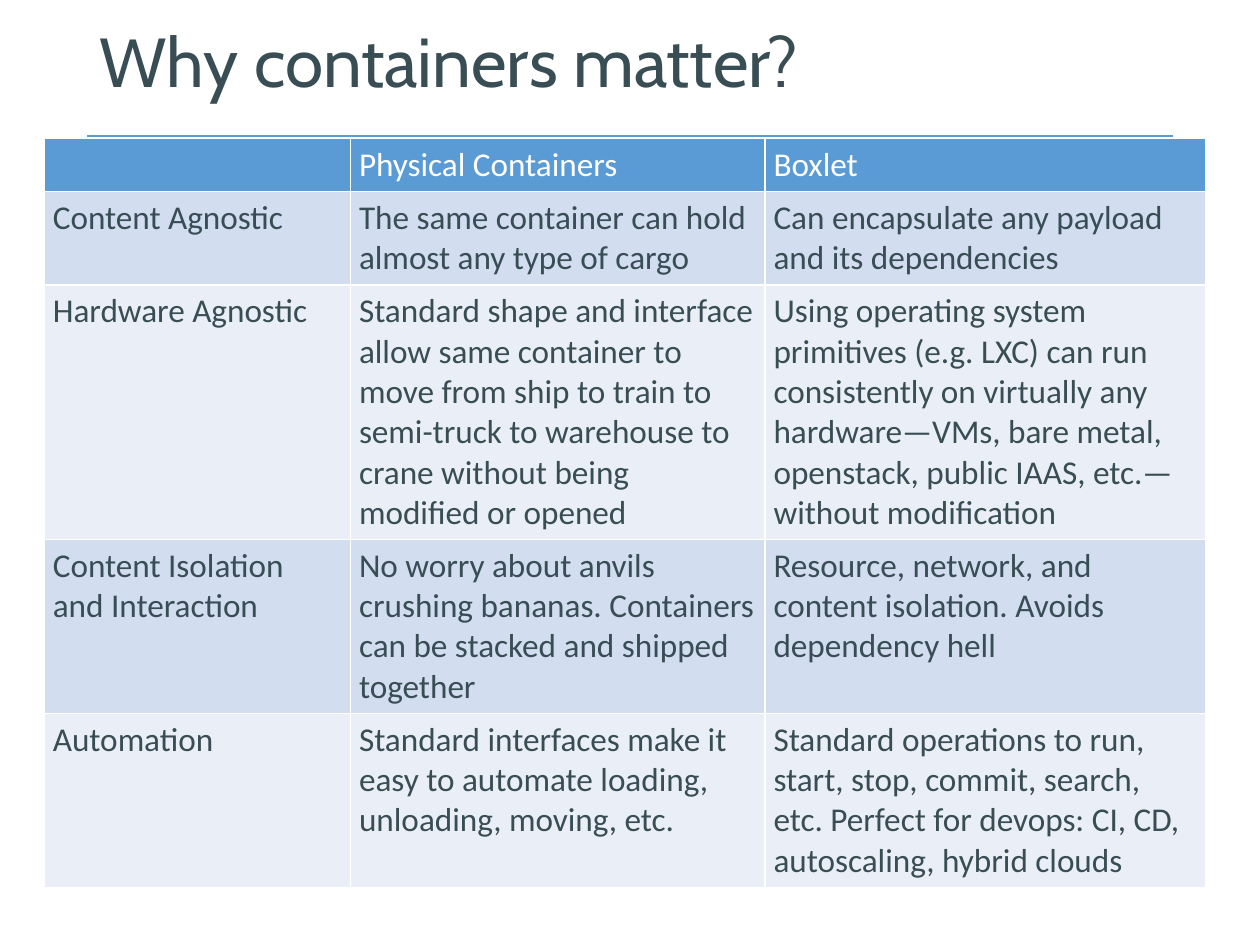
from typing import NamedTuple

from pptx import Presentation
from pptx.dml.color import RGBColor
from pptx.enum.shapes import MSO_CONNECTOR as Connector
from pptx.enum.text import MSO_ANCHOR as Anchor, MSO_AUTO_SIZE as AutoSize, PP_ALIGN as Align
from pptx.oxml.ns import qn
from pptx.util import Inches, Pt
from lxml.etree import SubElement

WIDTH, HEIGHT = 10, 7.5
MARGIN = 0.69
BLUE, SLATE, WHITE = "5B9BD5", "394D54", "FFFFFF"
BANDS = ("D2DEEF", "EAEFF7")
COLUMNS = (2.43, 3.29, 3.5)


class Row(NamedTuple):
    height: float
    topic: str
    physical: str
    software: str


ROWS = (
    Row(0.42, "", "Physical Containers", "Boxlet"),
    Row(0.73, "Content Agnostic",
        "The same container can hold almost any type of cargo",
        "Can encapsulate any payload and its dependencies"),
    Row(2, "Hardware Agnostic",
        "Standard shape and interface allow same container to move from ship to train to "
        "semi-truck to warehouse to crane without being modified or opened",
        "Using operating system primitives (e.g. LXC) can run consistently on virtually any "
        "hardware—VMs, bare metal, openstack, public IAAS, etc.—without modification"),
    Row(1.37, "Content Isolation and Interaction",
        "No worry about anvils crushing bananas. Containers can be stacked and shipped together",
        "Resource, network, and content isolation. Avoids dependency hell"),
    Row(1.37, "Automation",
        "Standard interfaces make it easy to automate loading, unloading, moving, etc.",
        "Standard operations to run, start, stop, commit, search, etc. "
        "Perfect for devops: CI, CD, autoscaling, hybrid clouds"),
)


def color(value: str) -> RGBColor:
    return RGBColor.from_string(value)


def style_font(font, name: str, size: float, value: str) -> None:
    font.name, font.size, font.bold = name, Pt(size), False
    font.color.rgb = color(value)


def add_rule(page, top: float) -> None:
    rule = page.shapes.add_connector(
        Connector.STRAIGHT, Inches(MARGIN), Inches(top), Inches(WIDTH - MARGIN), Inches(top))
    rule.line.color.rgb = color(BLUE)
    rule.line.width = Pt(0.75)
    SubElement(rule._element.spPr, qn("a:effectLst"))


def set_title(page, text: str) -> None:
    title = page.shapes.title
    title.left, title.top = Inches(MARGIN), Inches(0.15)
    title.width, title.height = Inches(WIDTH - 2 * MARGIN), Inches(0.73)
    frame = title.text_frame
    frame.text = text
    frame.auto_size, frame.vertical_anchor = AutoSize.NONE, Anchor.MIDDLE
    para = frame.paragraphs[0]
    para.alignment, para.line_spacing = Align.LEFT, 0.9
    style_font(para.runs[0].font, "Cabin", 39.6, SLATE)


def set_borders(cell) -> None:
    properties = cell._tc.get_or_add_tcPr()
    for side in "LRTB":
        line = SubElement(properties, qn(f"a:ln{side}"), w=str(Pt(1)))
        fill = SubElement(line, qn("a:solidFill"))
        SubElement(fill, qn("a:srgbClr"), val=WHITE)


def fill_cell(cell, text: str, background: str, ink: str) -> None:
    cell.margin_left = cell.margin_right = Inches(0.07)
    cell.margin_top = cell.margin_bottom = Inches(0.05)
    set_borders(cell)
    cell.fill.solid()
    cell.fill.fore_color.rgb = color(background)
    cell.text = text
    for span in cell.text_frame.paragraphs[0].runs:
        style_font(span.font, "Calibri", 19, ink)


def add_comparison(page, left: float, top: float) -> None:
    height = sum(row.height for row in ROWS)
    table = page.shapes.add_table(
        len(ROWS), len(COLUMNS), Inches(left), Inches(top),
        Inches(sum(COLUMNS)), Inches(height)).table
    for column, width in zip(table.columns, COLUMNS):
        column.width = Inches(width)
    for index, row in enumerate(ROWS):
        table.rows[index].height = Inches(row.height)
        header = index == 0
        background = BLUE if header else BANDS[(index - 1) % 2]
        for position, text in enumerate(row[1:]):
            fill_cell(table.cell(index, position), text, background,
                      WHITE if header else SLATE)


def main() -> None:
    deck = Presentation()
    deck.slide_width, deck.slide_height = Inches(WIDTH), Inches(HEIGHT)
    page = deck.slides.add_slide(deck.slide_layouts[5])

    # Heading and the rule below it
    set_title(page, "Why containers matter?")
    add_rule(page, 1.08)

    # Comparison table
    add_comparison(page, 0.35, 1.1)
    deck.save("out.pptx")


if __name__ == "__main__":
    main()
